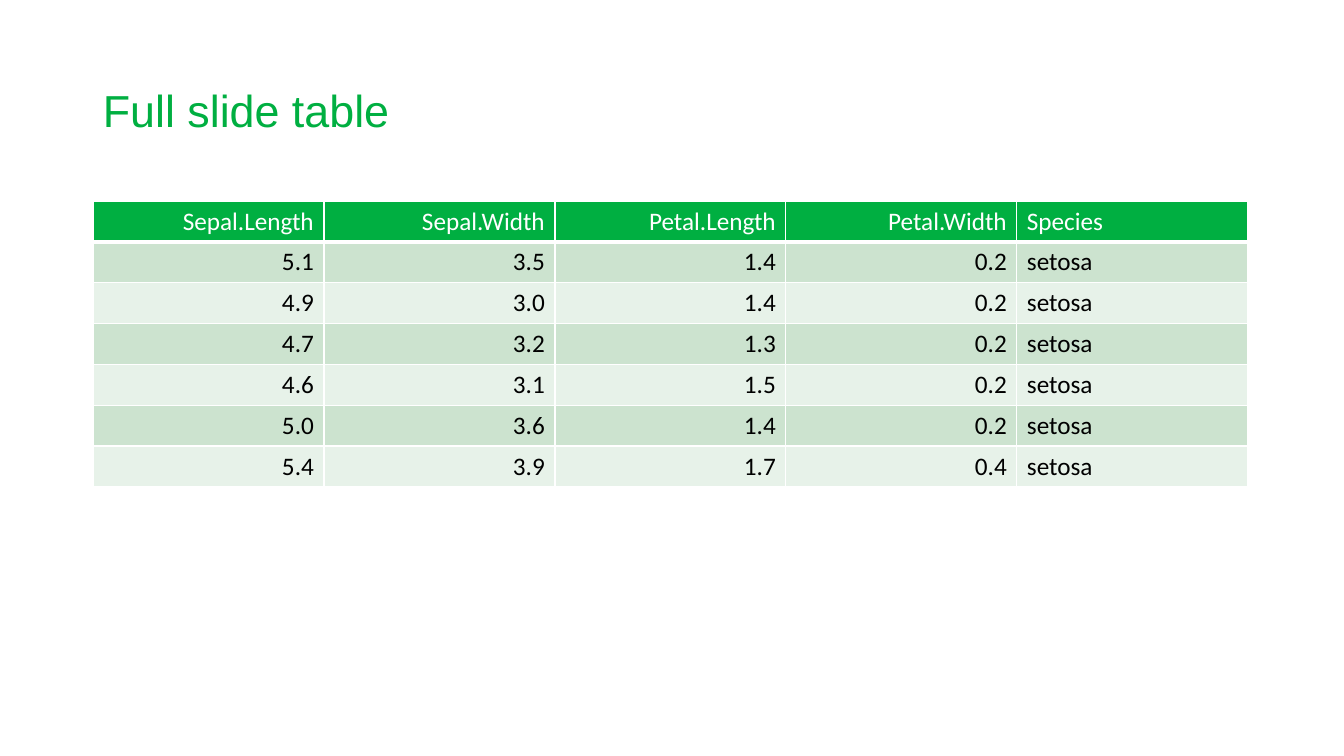
import pptx
import pptx.dml.color
import pptx.enum.text
import pptx.oxml
import pptx.oxml.ns
import pptx.util

GREEN = pptx.dml.color.RGBColor(0x00, 0xAF, 0x41)
BAND_DARK = pptx.dml.color.RGBColor(0xCC, 0xE3, 0xCF)
BAND_LIGHT = pptx.dml.color.RGBColor(0xE7, 0xF2, 0xE9)
WHITE = pptx.dml.color.RGBColor(0xFF, 0xFF, 0xFF)
BLACK = pptx.dml.color.RGBColor(0x00, 0x00, 0x00)

HEADER = ["Sepal.Length", "Sepal.Width", "Petal.Length", "Petal.Width", "Species"]
FLOWERS = [
    ["5.1", "3.5", "1.4", "0.2", "setosa"],
    ["4.9", "3.0", "1.4", "0.2", "setosa"],
    ["4.7", "3.2", "1.3", "0.2", "setosa"],
    ["4.6", "3.1", "1.5", "0.2", "setosa"],
    ["5.0", "3.6", "1.4", "0.2", "setosa"],
    ["5.4", "3.9", "1.7", "0.4", "setosa"],
]


def px(length):
    """Convert pixels to EMU."""
    return pptx.util.Emu(round(length * 914400 / 100.8))


class SlideWriter:
    """Holds the style and the current slide."""

    title_font, title_size = "Arial", 32
    table_font, table_size = "Calibri", 18

    def __init__(self, slide):
        """Keep the slide to draw on."""
        self.slide = slide

    def format_text(self, paragraph, font, size, color):
        """Apply font, size and colour to every run."""
        for run in paragraph.runs:
            run.font.name = font
            run.font.size = pptx.util.Pt(size)
            run.font.color.rgb = color

    def title(self, text, left, top, width, height):
        """Add the vertically centred slide title."""
        frame = self.slide.shapes.add_textbox(
            px(left), px(top), px(width), px(height)).text_frame
        frame.word_wrap = True
        frame.vertical_anchor = pptx.enum.text.MSO_ANCHOR.MIDDLE
        frame.text = text
        heading = frame.paragraphs[0]
        heading.line_spacing = 0.9
        self.format_text(heading, self.title_font, self.title_size, GREEN)

    def borders(self, cell, bottom):
        """Draw white cell borders, 1 pt except for the bottom."""
        properties = cell._tc.get_or_add_tcPr()
        for side, points in zip("LRTB", (1, 1, 1, bottom)):
            properties.append(pptx.oxml.parse_xml(
                f'<a:ln{side} {pptx.oxml.ns.nsdecls("a")} w="{pptx.util.Pt(points)}">'
                f'<a:solidFill><a:srgbClr val="{WHITE}"/></a:solidFill></a:ln{side}>'))

    def table(self, rows, left, top, width, height):
        """Add a banded table with a header row and a left-aligned last column."""
        grid = self.slide.shapes.add_table(
            len(rows), len(rows[0]), px(left), px(top), px(width), px(height)).table
        for r, row in enumerate(rows):
            is_header = r == 0
            fill = GREEN if is_header else BAND_DARK if r % 2 else BAND_LIGHT
            for c, value in enumerate(row):
                cell = grid.cell(r, c)
                cell.text = value
                entry = cell.text_frame.paragraphs[0]
                if c < len(row) - 1:
                    entry.alignment = pptx.enum.text.PP_ALIGN.RIGHT
                self.format_text(entry, self.table_font, self.table_size,
                                 WHITE if is_header else BLACK)
                for run in entry.runs:
                    run.font.bold = False
                self.borders(cell, bottom=3 if is_header else 1)
                cell.fill.solid()
                cell.fill.fore_color.rgb = fill


deck = pptx.Presentation()
deck.slide_width, deck.slide_height = px(1344), px(756)
writer = SlideWriter(deck.slides.add_slide(deck.slide_layouts[6]))
writer.title("Full slide table", 93, 40, 1159, 146)
writer.table([HEADER] + FLOWERS, 93, 201, 1155, 286)
deck.save("out.pptx")
